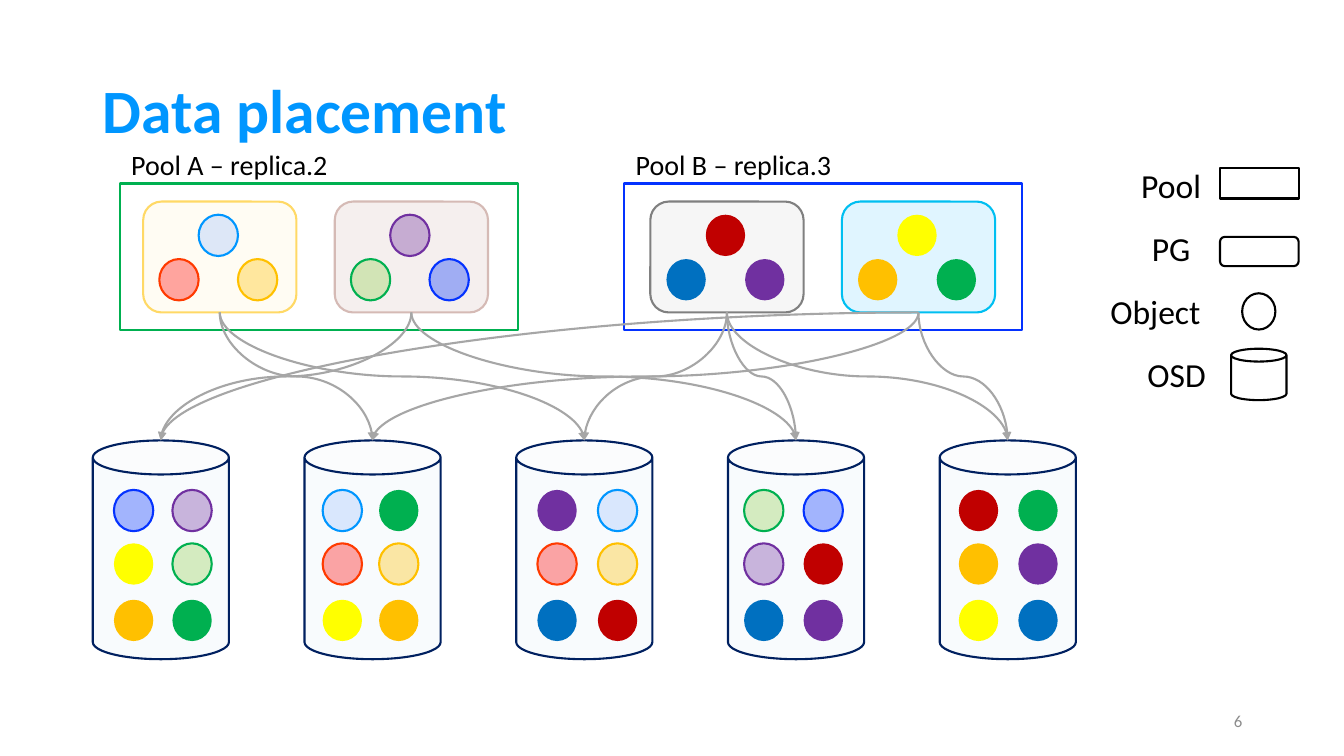
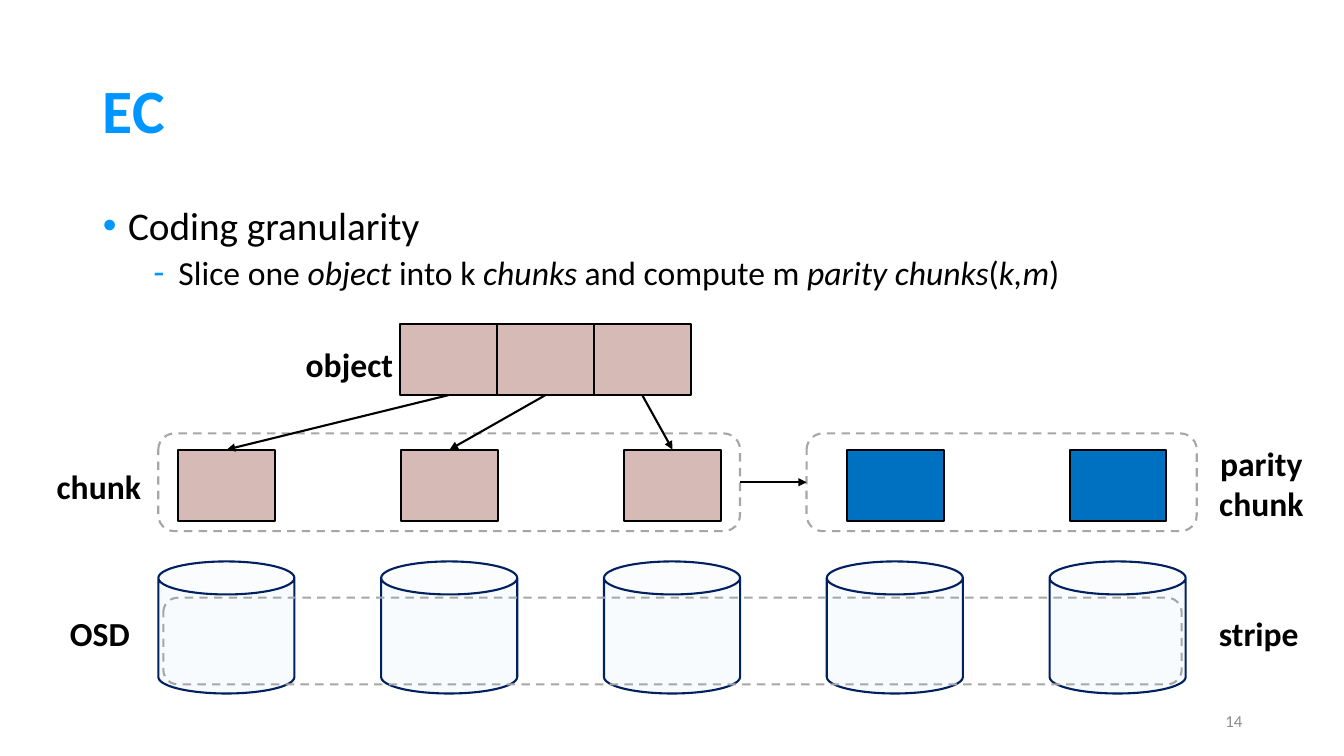
from lxml.etree import SubElement
from pptx import Presentation
from pptx.dml.color import RGBColor
from pptx.enum.dml import MSO_LINE
from pptx.enum.shapes import MSO_CONNECTOR as Link, MSO_SHAPE as Shape
from pptx.enum.text import MSO_ANCHOR as Anchor, MSO_AUTO_SIZE as AutoSize, PP_ALIGN as Align
from pptx.oxml.ns import qn
from pptx.util import Inches, Pt

FONT = "Calibri"
BLACK = "000000"
ACCENT = "0096FF"
GRAY = "A6A6A6"
ROSE = "D5BAB5"
BLUE = "0070C0"
OSD = {"fill": "5B9BD5", "line": "002060", "alpha": 4}
color = RGBColor.from_string


def draw(page, kind, left, top, width, height, fill=None, line=None, alpha=None, dash=False):
    shape = page.shapes.add_shape(kind, Inches(left), Inches(top), Inches(width), Inches(height))
    shape.shadow.inherit = False
    if fill:
        shape.fill.solid()
        shape.fill.fore_color.rgb = color(fill)
        if alpha:
            tint = shape.element.spPr.find(qn("a:solidFill"))[0]
            SubElement(tint, qn("a:alpha")).set("val", str(alpha * 1000))
    else:
        shape.fill.background()
    if line:
        shape.line.color.rgb = color(line)
        shape.line.width = Pt(1.5)
        if dash:
            shape.line.dash_style = MSO_LINE.DASH
    else:
        shape.line.fill.background()
    return shape


def write(page, text, left, top, width, height, size=24, bold=False, ink=BLACK, align=Align.CENTER):
    box = page.shapes.add_textbox(Inches(left), Inches(top), Inches(width), Inches(height))
    box.text_frame.word_wrap = False
    box.text_frame.vertical_anchor = Anchor.MIDDLE
    box.text_frame.text = text
    for para in box.text_frame.paragraphs:
        para.alignment = align
        para.font.name = FONT
        para.font.size = Pt(size)
        para.font.bold = bold
        para.font.color.rgb = color(ink)


deck = Presentation()
deck.slide_width = Inches(13.33)
deck.slide_height = Inches(7.5)

pages = []
for title, number, layout in [("Data placement", "6", 5), ("EC", "14", 1)]:
    page = deck.slides.add_slide(deck.slide_layouts[layout])
    heading = page.shapes.title
    heading.left, heading.top = Inches(0.92), Inches(0.4)
    heading.width, heading.height = Inches(11.5), Inches(1.45)
    heading.text_frame.text = title
    heading.text_frame.vertical_anchor = Anchor.MIDDLE
    para = heading.text_frame.paragraphs[0]
    para.alignment = Align.LEFT
    para.line_spacing = 0.9
    para.font.name = FONT
    para.font.size = Pt(44)
    para.font.bold = True
    para.font.color.rgb = color(ACCENT)
    write(page, number, 9.42, 6.95, 3, 0.4, size=12, ink="8C8C8C", align=Align.RIGHT)
    pages.append(page)
placement, coding = pages
links = []

legend = [
    ("Pool", 11.19, 1.59, 0.85, Shape.RECTANGLE, 12.1, 1.67, 0.78, 0.3),
    ("PG", 11.19, 2.21, 0.85, Shape.ROUNDED_RECTANGLE, 12.1, 2.35, 0.78, 0.29),
    ("Object", 10.88, 2.84, 1.16, Shape.OVAL, 12.32, 2.91, 0.33, 0.36),
    ("OSD", 11.24, 3.46, 0.86, Shape.CAN, 12.21, 3.46, 0.55, 0.51),
]
for name, left, top, width, kind, *place in legend:
    write(placement, name, left, top, width, 0.5)
    draw(placement, kind, *place, line=BLACK)

objects = {
    "sky": ("A0C2FF", ACCENT, 35),
    "coral": ("FF0000", "FF3A00", 35),
    "amber": ("FFC000", "FFC000", 35),
    "violet": ("7030A0", "7030A0", 35),
    "lime": ("92D050", "00B050", 35),
    "indigo": ("0432FF", "0432FF", 35),
    "red": ("C00000",),
    "blue": (BLUE,),
    "purple": ("7030A0",),
    "yellow": ("FFFF00",),
    "orange": ("FFC000",),
    "green": ("00B050",),
}

pools = [
    ("Pool A – replica.2", 1.19, "00B050", [
        (1.42, "FFF2CC", "FFD966", ["sky", "coral", "amber"]),
        (3.32, ROSE, ROSE, ["violet", "lime", "indigo"]),
    ]),
    ("Pool B – replica.3", 6.19, "0432FF", [
        (6.45, "D9D9D9", "808080", ["red", "blue", "purple"]),
        (8.35, "76D6FF", "00BFF1", ["yellow", "orange", "green"]),
    ]),
]
groups = []
for name, pool_left, outline, members in pools:
    write(placement, name, pool_left, 1.41, 2.17, 0.44, size=20)
    draw(placement, Shape.RECTANGLE, pool_left, 1.82, 3.95, 1.45, line=outline)
    for left, fill, line, names in members:
        groups.append(draw(placement, Shape.ROUNDED_RECTANGLE, left, 2, 1.52, 1.1, fill, line, 22))
        for item, (dx, dy) in zip(names, [(0.55, 0.13), (0.16, 0.57), (0.94, 0.57)]):
            draw(placement, Shape.OVAL, left + dx, 2 + dy, 0.39, 0.41, *objects[item])

contents = [
    (1.13, 1.71, ["indigo", "violet", "yellow", "lime", "orange", "green"]),
    (3.2, 3.76, ["sky", "green", "coral", "amber", "yellow", "orange"]),
    (5.33, 5.93, ["purple", "sky", "coral", "amber", "blue", "red"]),
    (7.38, 7.97, ["lime", "indigo", "violet", "red", "blue", "purple"]),
    (9.51, 10.1, ["red", "green", "orange", "purple", "yellow", "blue"]),
]
disks = []
for column, (first, second, names) in enumerate(contents):
    disks.append(draw(placement, Shape.CAN, 0.92 + 2.1 * column, 4.37, 1.35, 2.17, **OSD))
    for index, item in enumerate(names):
        left = second if index % 2 else first
        top = [4.86, 5.39, 5.95][index // 2]
        draw(placement, Shape.OVAL, left, top, 0.39, 0.41, *objects[item])

for group, targets in zip(groups, [(1, 2), (0, 3), (2, 3, 4), (0, 1, 4)]):
    for target in targets:
        disk = disks[target]
        x1, y1 = group.left + group.width // 2, group.top + group.height
        x2, y2 = disk.left + disk.width // 2, disk.top
        link = placement.shapes.add_connector(Link.CURVE, x1, y1, x2, y2)
        if group is groups[3] and target == 0:
            link.element.spPr.find(qn("a:prstGeom")).set("prst", "curvedConnector2")
        else:
            run, drop = abs(x2 - x1), y2 - y1
            link.left, link.top = (x1 + x2 - drop) // 2, (y1 + y2 - run) // 2
            link.width, link.height = drop, run
            frame = link.element.spPr.find(qn("a:xfrm"))
            frame.set("rot", str((270 if x2 > x1 else 90) * 60000))
            frame.set("flipH", "1" if x2 > x1 else "0")
        links.append((link, GRAY))

body = coding.placeholders[1]
body.left, body.top = Inches(0.92), Inches(2)
body.width, body.height = Inches(11.5), Inches(4.76)
frame = body.text_frame
frame.auto_size = AutoSize.NONE
bullets = [
    (0, 0.25, 10, 28, "•", ["Coding granularity"]),
    (1, 0.75, 5, 24, "-", ["Slice one ", "object ", "into k ", "chunks ", "and compute m ",
                           "parity chunks", "(", "k,m", ")"]),
]
for level, indent, before, size, mark, parts in bullets:
    para = frame.add_paragraph() if level else frame.paragraphs[0]
    para.level = level
    para.line_spacing = 0.9
    para.space_before = Pt(before)
    settings = para._p.get_or_add_pPr()
    settings.set("marL", str(Inches(indent)))
    settings.set("indent", str(Inches(-0.25)))
    SubElement(SubElement(settings, qn("a:buClr")), qn("a:srgbClr")).set("val", ACCENT)
    SubElement(settings, qn("a:buChar")).set("char", mark)
    para.font.name = FONT
    para.font.size = Pt(size)
    para.font.color.rgb = color(BLACK)
    for index, part in enumerate(parts):
        span = para.add_run()
        span.text = part
        span.font.italic = index % 2 == 1

slices, chunks = [], []
for column in range(5):
    left = 1.57 + 2.21 * column
    draw(coding, Shape.CAN, left, 5.57, 1.35, 1.31, **OSD)
    fill = ROSE if column < 3 else BLUE
    chunks.append(draw(coding, Shape.RECTANGLE, left + 0.2, 4.46, 0.96, 0.71, fill, BLACK))
for column in range(3):
    slices.append(draw(coding, Shape.RECTANGLE, 3.97 + 0.96 * column, 3.21, 0.96, 0.71, ROSE, BLACK))

data_frame, parity_frame, stripe_frame = [
    draw(coding, Shape.ROUNDED_RECTANGLE, *place, line=GRAY, dash=True)
    for place in [(1.57, 4.3, 5.77, 0.97), (8, 4.3, 3.87, 0.97), (1.62, 5.93, 10.1, 0.86)]
]

for text, left, top, width, height in [
    ("object", 2.91, 3.36, 1.11, 0.5),
    ("chunk", 0.44, 4.57, 1.08, 0.5),
    ("parity\nchunk", 11.97, 4.34, 1.08, 0.91),
    ("OSD", 0.55, 6.03, 0.88, 0.5),
    ("stripe", 11.97, 6.03, 1.03, 0.5),
]:
    write(coding, text, left, top, width, height, bold=True)

arrows = [(piece, 2, chunk, 0) for piece, chunk in zip(slices, chunks)]
arrows.append((data_frame, 3, parity_frame, 1))
for source, start, target, end in arrows:
    link = coding.shapes.add_connector(Link.STRAIGHT, 0, 0, 0, 0)
    link.begin_connect(source, start)
    link.end_connect(target, end)
    links.append((link, BLACK))

for link, ink in links:
    link.line.color.rgb = color(ink)
    link.line.width = Pt(1.5)
    SubElement(link.line._get_or_add_ln(), qn("a:tailEnd")).set("type", "triangle")
    SubElement(link.element.spPr, qn("a:effectLst"))

deck.save("out.pptx")
